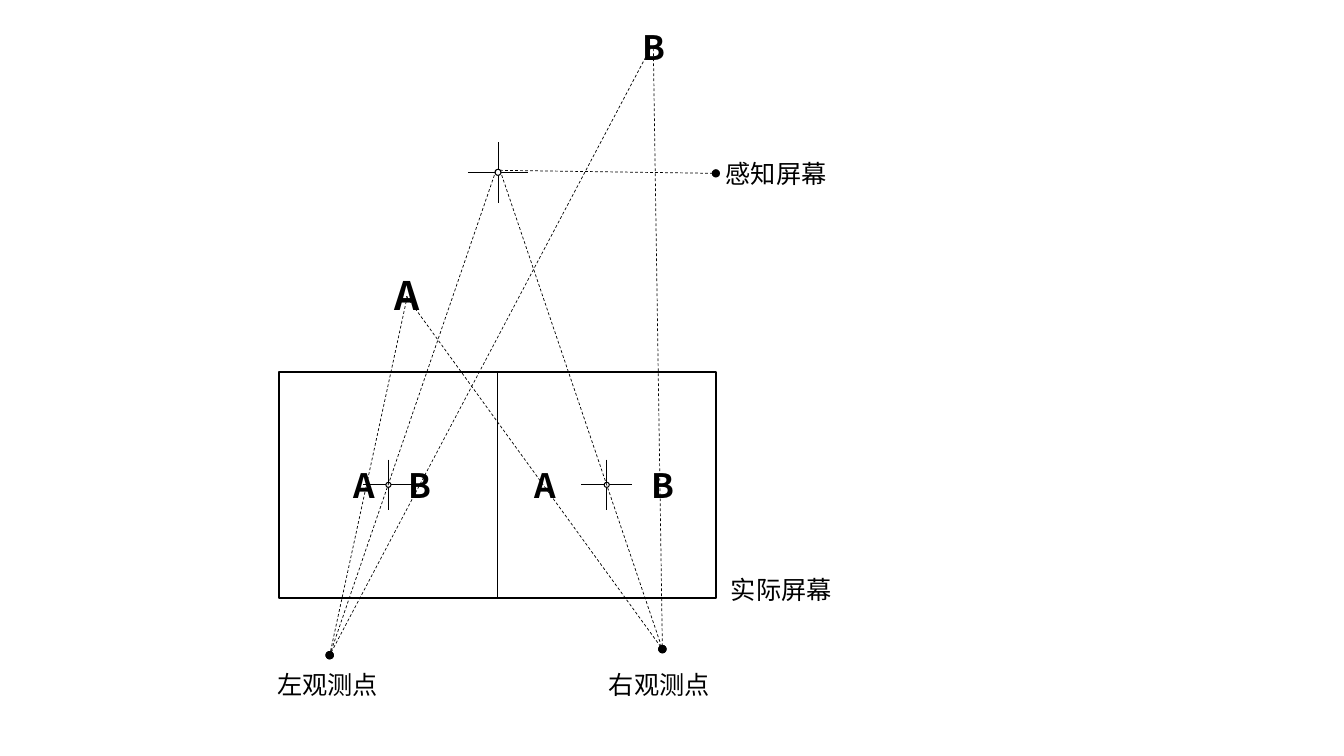
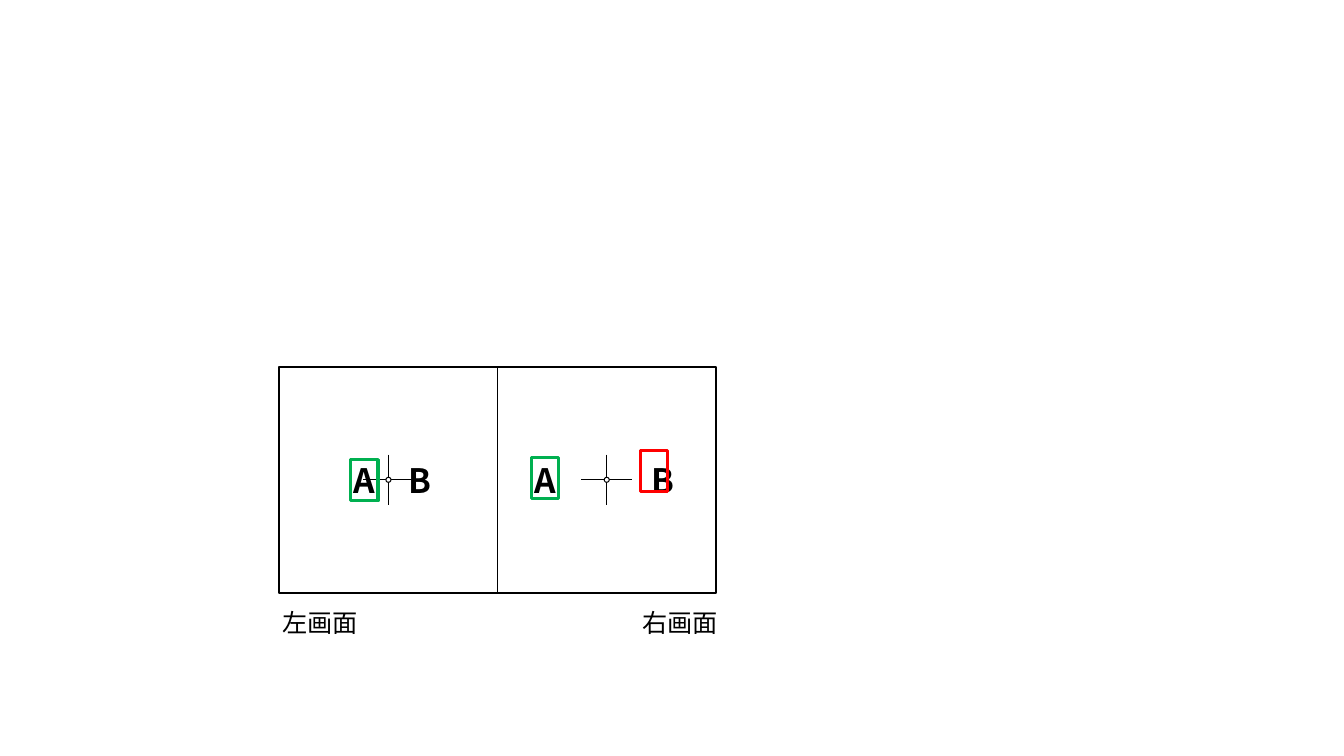
"""Build two slides that explain stereo vision on a split screen."""
import pptx
import pptx.dml.color
import pptx.enum.dml
import pptx.enum.shapes
import pptx.oxml.ns
import pptx.util
from lxml import etree
from pptx.util import Inches

FONT = "Noto Sans CJK SC"
COLORS = {"ink": "000000", "paper": "FFFFFF", "match": "00B050", "differ": "FF0000"}
SHAPES = pptx.enum.shapes.MSO_SHAPE

SCREEN_LEFT, SCREEN_WIDTH, SCREEN_HEIGHT = 2.77, 4.33, 2.24
SCREEN_LETTERS = [("A", 3.41), ("A", 5.2), ("B", 3.95), ("B", 6.36)]
LEFT_EYE, RIGHT_EYE = (3.27, 6.5), (6.57, 6.44)


def color(name):
    """Return the named colour."""
    return pptx.dml.color.RGBColor.from_string(COLORS[name])


def add_child(parent, tag, **attributes):
    """Append a DrawingML element."""
    return etree.SubElement(parent, pptx.oxml.ns.qn(tag), attributes)


def add_line(page, start, end, width=0.5):
    """Draw a plain straight line."""
    line = page.shapes.add_connector(
        pptx.enum.shapes.MSO_CONNECTOR.STRAIGHT, *map(Inches, start + end))
    line.line.color.rgb = color("ink")
    line.line.width = pptx.util.Pt(width)
    add_child(line._element.spPr, "a:effectLst")
    return line


def add_sight_line(page, start, end):
    """Draw a dashed line that ends in a dot."""
    sight = add_line(page, start, end)
    sight.line.dash_style = pptx.enum.dml.MSO_LINE.DASH
    add_child(sight.line._get_or_add_ln(), "a:tailEnd", type="oval")


def add_outline(page, kind, place, width, line="ink", fill=None):
    """Draw an outlined shape, hollow unless a fill is named."""
    shape = page.shapes.add_shape(kind, *map(Inches, place))
    shape.shadow.inherit = False
    if fill:
        shape.fill.solid()
        shape.fill.fore_color.rgb = color(fill)
    else:
        shape.fill.background()
    shape.line.color.rgb = color(line)
    shape.line.width = pptx.util.Pt(width)


def add_text(page, text, left, top, width, height, size, bold=False):
    """Place one line of text."""
    box = page.shapes.add_textbox(*map(Inches, (left, top, width, height)))
    box.text_frame.word_wrap = True
    paragraph = box.text_frame.paragraphs[0]
    paragraph.text = text
    font = paragraph.font
    font.name, font.size, font.bold = FONT, pptx.util.Pt(size), bold
    font.color.rgb = color("ink")
    for span in paragraph.runs:
        add_child(span._r.get_or_add_rPr(), "a:ea", typeface=FONT)


def add_label(page, text, left, top):
    """Place a caption."""
    add_text(page, text, left, top, 1.25, 0.4, 18)


def add_letter(page, text, left, top, size=24, height=0.5):
    """Place a bold letter."""
    add_text(page, text, left, top, 0.36, height, size, bold=True)


def add_cross(page, x, y, arm, dot):
    """Draw a fixation cross with a small ring in its centre."""
    add_line(page, (x - arm, y), (x + arm, y))
    add_line(page, (x, y - arm), (x, y + arm))
    add_outline(page, SHAPES.OVAL, (x - dot / 2, y - dot / 2, dot, dot), 0.75, fill="paper")


def add_screen(page, top):
    """Draw the split screen with a cross in each half and its letters."""
    middle = SCREEN_LEFT + SCREEN_WIDTH / 2
    center = top + SCREEN_HEIGHT / 2
    add_line(page, (middle, top), (middle, top + SCREEN_HEIGHT), 1)
    add_outline(page, SHAPES.RECTANGLE, (SCREEN_LEFT, top, SCREEN_WIDTH, SCREEN_HEIGHT), 1.5)
    for quarter in (1, 3):
        add_cross(page, SCREEN_LEFT + SCREEN_WIDTH * quarter / 4, center, 0.25, 0.05)
    for text, left in SCREEN_LETTERS:
        add_letter(page, text, left, center - 0.25)


def build_perception(page):
    """Show where both eyes perceive the letters."""
    add_screen(page, 3.69)
    add_cross(page, 4.94, 1.71, 0.3, 0.06)
    add_letter(page, "A", 3.81, 2.64, 28, 0.57)
    add_letter(page, "B", 6.27, 0.22)
    for left_start, right_start in [
        ((4.92, 1.69), (4.96, 1.69)),
        ((4.04, 2.94), (4.03, 2.94)),
        ((6.45, 0.48), (6.48, 0.48)),
    ]:
        add_sight_line(page, left_start, LEFT_EYE)
        add_sight_line(page, right_start, RIGHT_EYE)
    add_sight_line(page, (4.96, 1.69), (7.1, 1.72))
    for text, left, top in [
        ("实际屏幕", 7.15, 5.65),
        ("左观测点", 2.65, 6.59),
        ("右观测点", 5.94, 6.59),
        ("感知屏幕", 7.1, 1.52),
    ]:
        add_label(page, text, left, top)


def build_matching(page):
    """Show the matched letters in both halves of the screen."""
    add_screen(page, 3.64)
    for left, top, name in [(3.48, 4.56, "match"), (5.27, 4.54, "match"), (6.35, 4.47, "differ")]:
        add_outline(page, SHAPES.RECTANGLE, (left, top, 0.27, 0.41), 2.25, name)
    add_label(page, "左画面", 2.7, 5.98)
    add_label(page, "右画面", 6.27, 5.98)


def main():
    """Build and save the deck."""
    deck = pptx.Presentation()
    deck.slide_width, deck.slide_height = Inches(13.33), Inches(7.5)
    for build in (build_perception, build_matching):
        build(deck.slides.add_slide(deck.slide_layouts[6]))
    deck.save("out.pptx")


main()
